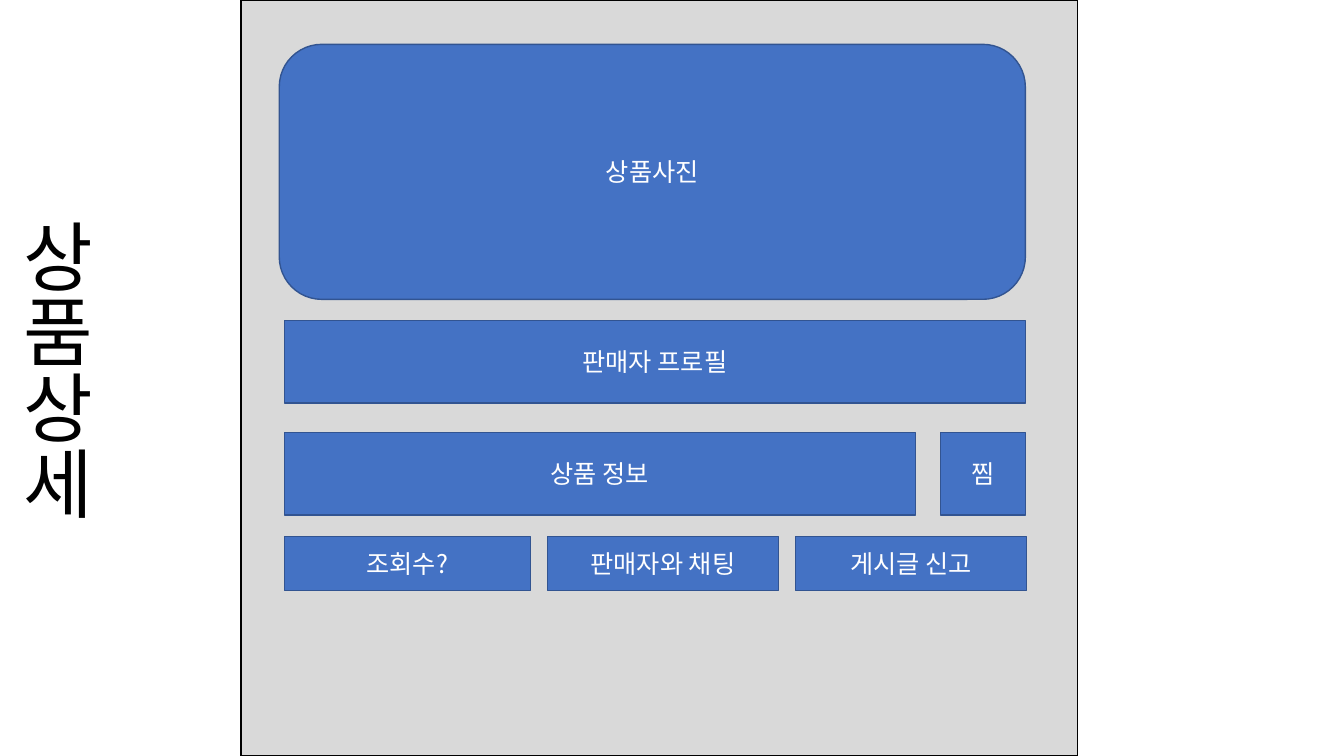
"""Build the product detail page wireframe slide."""
from dataclasses import dataclass

from lxml.etree import SubElement
from pptx import Presentation
from pptx.dml.color import RGBColor
from pptx.enum.shapes import MSO_SHAPE
from pptx.enum.text import MSO_ANCHOR, MSO_AUTO_SIZE, PP_ALIGN
from pptx.oxml.ns import qn
from pptx.util import Inches, Pt


@dataclass(frozen=True)
class Theme:
    font: str = "Noto Sans CJK KR"
    panel: str = "D9D9D9"
    block: str = "4472C4"
    block_line: str = "325491"
    black: str = "000000"
    white: str = "FFFFFF"
    title_size: int = 54
    block_size: int = 18


THEME = Theme()
TITLE = "상품상세"
TITLE_BOX = (0, 2.12, 1.11, 3.32)
PANEL_BOX = (2.39, 0, 8.3, 7.5)
PHOTO = ("상품사진", (2.77, 0.44, 7.4, 2.53))
ROWS_LEFT = 2.82
ROWS = [
    (3.18, 0.82, 0, [("판매자 프로필", 7.35)]),
    (4.29, 0.82, 0.25, [("상품 정보", 6.26), ("찜", 0.84)]),
    (5.32, 0.54, 0.17, [("조회수?", 2.44), ("판매자와 채팅", 2.29), ("게시글 신고", 2.29)]),
]


def write_text(shape, text, size, color):
    frame = shape.text_frame
    frame.vertical_anchor = MSO_ANCHOR.MIDDLE
    paragraph = frame.paragraphs[0]
    paragraph.alignment = PP_ALIGN.CENTER
    run = paragraph.add_run()
    run.text = text
    run.font.size = Pt(size)
    run.font.name = THEME.font
    run.font.color.rgb = RGBColor.from_string(color)
    for properties in shape.element.iter(qn("a:rPr")):
        SubElement(properties, qn("a:ea"), typeface=THEME.font)


def add_block(slide, box, fill, line, kind=MSO_SHAPE.RECTANGLE, text=None):
    shape = slide.shapes.add_shape(kind, *map(Inches, box))
    shape.shadow.inherit = False
    shape.fill.solid()
    shape.fill.fore_color.rgb = RGBColor.from_string(fill)
    shape.line.color.rgb = RGBColor.from_string(line)
    shape.line.width = Pt(1)
    if text:
        write_text(shape, text, size=THEME.block_size, color=THEME.white)


def add_title(slide):
    title = slide.shapes.title
    title.left, title.top, title.width, title.height = map(Inches, TITLE_BOX)
    write_text(title, TITLE, size=THEME.title_size, color=THEME.black)
    title.text_frame.word_wrap = False
    title.text_frame.auto_size = MSO_AUTO_SIZE.SHAPE_TO_FIT_TEXT
    for body in title.element.iter(qn("a:bodyPr")):
        body.set("vert", "eaVert")


presentation = Presentation()
presentation.slide_width = Inches(13.33)
presentation.slide_height = Inches(7.5)
slide = presentation.slides.add_slide(presentation.slide_layouts[5])
add_title(slide)
add_block(slide, PANEL_BOX, THEME.panel, THEME.black)
photo_text, photo_box = PHOTO
add_block(slide, photo_box, THEME.block, THEME.block_line,
          kind=MSO_SHAPE.ROUNDED_RECTANGLE, text=photo_text)
for top, height, gap, blocks in ROWS:
    left = ROWS_LEFT
    for text, width in blocks:
        add_block(slide, (left, top, width, height), THEME.block, THEME.block_line, text=text)
        left += width + gap
presentation.save("out.pptx")
